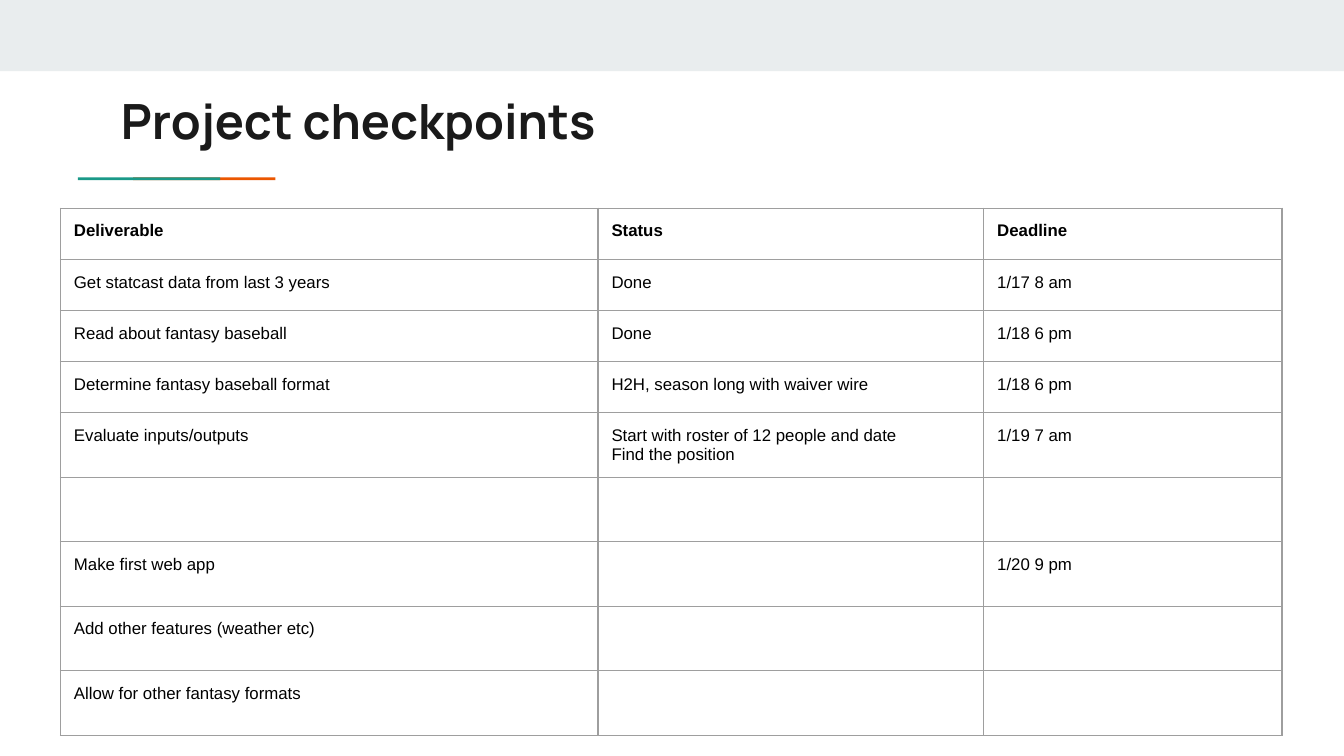
from lxml import etree
from pptx import Presentation
from pptx.dml.color import RGBColor
from pptx.enum.shapes import MSO_SHAPE
from pptx.enum.text import MSO_ANCHOR, MSO_AUTO_SIZE, PP_ALIGN
from pptx.oxml.ns import qn
from pptx.util import Inches, Pt

RECTANGLE = MSO_SHAPE.RECTANGLE
TOP = MSO_ANCHOR.TOP
LEFT = PP_ALIGN.LEFT
NO_AUTOFIT = MSO_AUTO_SIZE.NONE

BAND_GREY = RGBColor(0xE9, 0xED, 0xEE)
ORANGE = RGBColor(0xEB, 0x56, 0x00)
TEAL = RGBColor(0x1A, 0x99, 0x88)
TITLE_INK = RGBColor(0x1A, 0x1A, 0x1A)
BLACK = RGBColor(0x00, 0x00, 0x00)
BORDER_GREY = RGBColor(0x9E, 0x9E, 0x9E)

SLIDE_WIDTH = 10
SLIDE_HEIGHT = SLIDE_WIDTH * 9 / 16
INSET = Inches(0.1)
TABLE_FONT = "Arial"
COLUMN_WIDTHS = [4, 2.87, 2.22]
ROW_HEIGHT = 0.38
CHECKPOINTS = [
    ("Deliverable", "Status", "Deadline"),
    ("Get statcast data from last 3 years", "Done", "1/17 8 am"),
    ("Read about fantasy baseball", "Done", "1/18 6 pm"),
    ("Determine fantasy baseball format", "H2H, season long with waiver wire", "1/18 6 pm"),
    ("Evaluate inputs/outputs",
     "Start with roster of 12 people and date\nFind the position", "1/19 7 am"),
    ("", "", ""),
    ("Make first web app", "", "1/20 9 pm"),
    ("Add other features (weather etc)", "", ""),
    ("Allow for other fantasy formats", "", ""),
]


def add_bar(slide, left, top, width, height, color):
    bar = slide.shapes.add_shape(
        RECTANGLE, Inches(left), Inches(top), Inches(width), Inches(height))
    bar.shadow.inherit = False
    bar.fill.solid()
    bar.fill.fore_color.rgb = color
    bar.line.fill.background()


def add_accent_rule(slide, left, top, width, height):
    """Two equally long bars, the teal one overlapping the orange one."""
    bar_width = width * 0.72
    add_bar(slide, left + width - bar_width, top, bar_width, height, ORANGE)
    add_bar(slide, left, top, bar_width, height, TEAL)


def format_text(text_frame, font_name, size, color, bold):
    for paragraph in text_frame.paragraphs:
        paragraph.alignment = LEFT
        for run in paragraph.runs:
            run.font.name = font_name
            run.font.size = Pt(size)
            run.font.color.rgb = color
            run.font.bold = bold


def place_title(slide, left, top, width, height):
    title = slide.shapes.title
    title.left, title.top = Inches(left), Inches(top)
    title.width, title.height = Inches(width), Inches(height)
    frame = title.text_frame
    frame.text = "Project checkpoints"
    frame.auto_size = NO_AUTOFIT
    frame.word_wrap = True
    frame.vertical_anchor = TOP
    frame.margin_left = frame.margin_right = INSET
    frame.margin_top = frame.margin_bottom = INSET
    format_text(frame, "Manrope", 26, TITLE_INK, True)


def set_borders(cell):
    properties = cell._tc.get_or_add_tcPr()
    for position, side in enumerate(("a:lnL", "a:lnR", "a:lnT", "a:lnB")):
        line = etree.Element(qn(side), w=str(Pt(0.75)))
        fill = etree.SubElement(line, qn("a:solidFill"))
        etree.SubElement(fill, qn("a:srgbClr"), val=str(BORDER_GREY))
        properties.insert(position, line)


def set_empty_cell_font(cell):
    """An empty cell keeps the height of one 18 point line."""
    paragraph = cell.text_frame.paragraphs[0]
    end_properties = etree.SubElement(paragraph._p, qn("a:endParaRPr"), sz="1800")
    etree.SubElement(end_properties, qn("a:latin"), typeface=TABLE_FONT)


def add_checkpoint_table(slide, left, top):
    table = slide.shapes.add_table(
        len(CHECKPOINTS), len(COLUMN_WIDTHS), Inches(left), Inches(top),
        Inches(sum(COLUMN_WIDTHS)), Inches(ROW_HEIGHT * len(CHECKPOINTS))).table
    table.horz_banding = False
    table.first_row = False
    for column, width in zip(table.columns, COLUMN_WIDTHS):
        column.width = Inches(width)
    for row_index, checkpoint in enumerate(CHECKPOINTS):
        table.rows[row_index].height = Inches(ROW_HEIGHT)
        for column_index, entry in enumerate(checkpoint):
            cell = table.cell(row_index, column_index)
            cell.text_frame.text = entry
            cell.margin_left = cell.margin_right = INSET
            cell.margin_top = cell.margin_bottom = INSET
            cell.vertical_anchor = TOP
            cell.fill.background()
            set_borders(cell)
            format_text(cell.text_frame, TABLE_FONT, 9, BLACK, row_index == 0)
            if not entry:
                set_empty_cell_font(cell)


def main():
    presentation = Presentation()
    presentation.slide_width = Inches(SLIDE_WIDTH)
    presentation.slide_height = Inches(SLIDE_HEIGHT)
    title_only = presentation.slide_layouts[5]
    slide = presentation.slides.add_slide(title_only)
    add_bar(slide, 0, 0, SLIDE_WIDTH, 0.53, BAND_GREY)
    add_accent_rule(slide, 0.58, 1.32, 1.47, 0.02)
    place_title(slide, 0.8, 0.58, 8.41, 0.59)
    add_checkpoint_table(slide, 0.45, 1.55)
    presentation.save("out.pptx")


if __name__ == "__main__":
    main()
